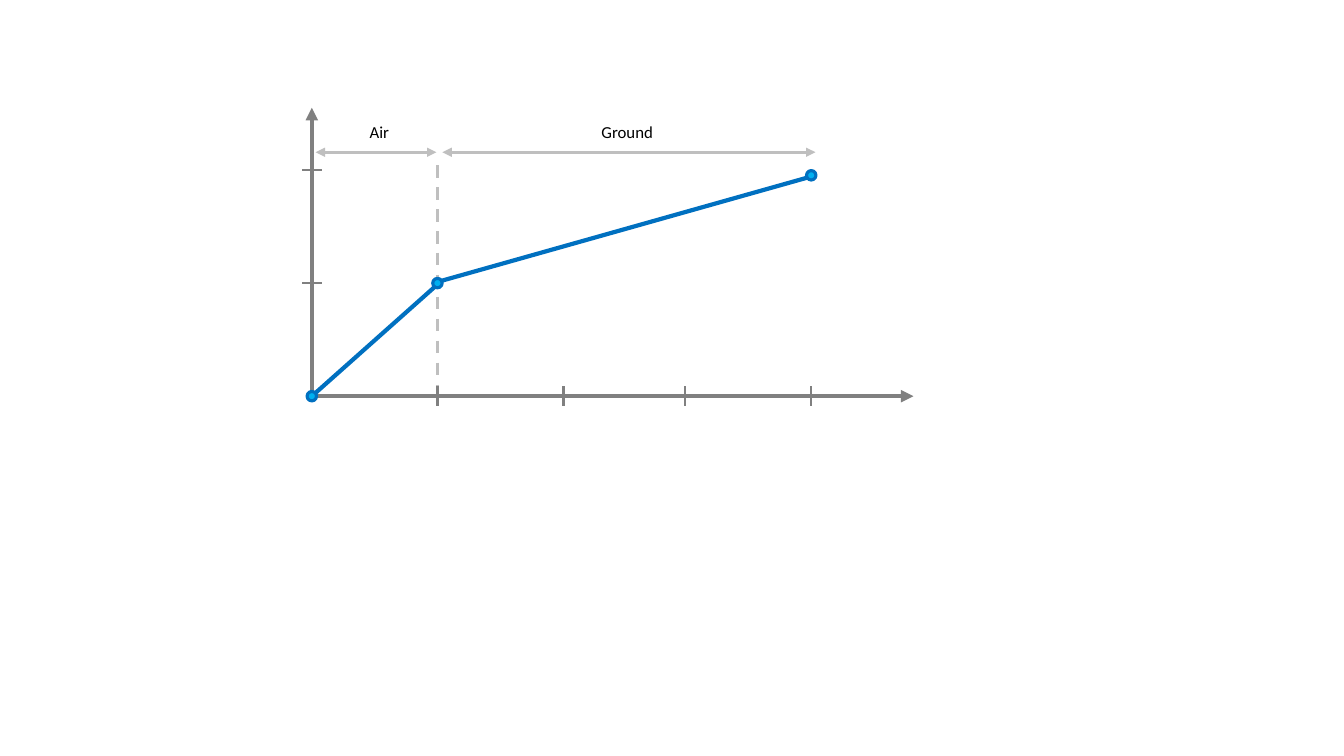
from lxml import etree
from pptx import Presentation
from pptx.dml.color import RGBColor
from pptx.enum.dml import MSO_LINE
from pptx.enum.shapes import MSO_CONNECTOR, MSO_SHAPE
from pptx.oxml.ns import qn
from pptx.util import Pt

STRAIGHT = MSO_CONNECTOR.STRAIGHT
OVAL = MSO_SHAPE.OVAL
DASH = MSO_LINE.DASH

GREY, LIGHT_GREY = "808080", "BFBFBF"
BLUE, SKY, BLACK = "0070C0", "00B0F0", "000000"


def color(hex_code):
    return RGBColor.from_string(hex_code)


class Sketch:
    """Draws on one slide; all lengths are in points."""

    font = "Calibri"
    text_size = 12
    dot_size = 6.75

    def __init__(self, slide):
        self.shapes = slide.shapes

    def line(self, start, end, hex_code, width, dash=None, arrows=()):
        connector = self.shapes.add_connector(
            STRAIGHT, *(Pt(value) for value in (*start, *end)))
        connector.line.color.rgb = color(hex_code)
        connector.line.width = Pt(width)
        if dash is not None:
            connector.line.dash_style = dash
        outline = connector.line._get_or_add_ln()
        for arrow in arrows:
            etree.SubElement(outline, qn(f"a:{arrow}"), type="triangle")
        etree.SubElement(connector._element.spPr, qn("a:effectLst"))

    def dot(self, x, y):
        size = self.dot_size
        marker = self.shapes.add_shape(
            OVAL, Pt(x - size / 2), Pt(y - size / 2), Pt(size), Pt(size))
        marker.shadow.inherit = False
        marker.fill.solid()
        marker.fill.fore_color.rgb = color(SKY)
        marker.line.color.rgb = color(BLUE)
        marker.line.width = Pt(2.25)

    def label(self, text, left, top, width):
        box = self.shapes.add_textbox(Pt(left), Pt(top), Pt(width), Pt(21.8))
        box.text_frame.word_wrap = True
        paragraph = box.text_frame.paragraphs[0]
        paragraph.text = text
        paragraph.font.name = self.font
        paragraph.font.size = Pt(self.text_size)
        paragraph.font.color.rgb = color(BLACK)


def main():
    deck = Presentation()
    deck.slide_width, deck.slide_height = Pt(960), Pt(540)
    sketch = Sketch(deck.slides.add_slide(deck.slide_layouts[6]))

    origin_x, origin_y = 222.75, 283
    x_ticks = (312.5, 402.5, 489.5, 579.5)
    y_ticks = (121.75, 202.25)
    landing_x, end_x = x_ticks[0], x_ticks[-1]
    tick = 7

    # Phase boundary and curve
    sketch.line((landing_x, 118), (landing_x, origin_y), LIGHT_GREY, 2.25, dash=DASH)
    sketch.line((315.5, 200.5), (225, 281), BLUE, 3)
    sketch.line((582.5, 125.25), (309.5, 202.25), BLUE, 3)

    # Axes
    sketch.line((origin_x, 286.5), (origin_x, 77), GREY, 3, arrows=["tailEnd"])
    sketch.line((origin_x, origin_y), (652.5, origin_y), GREY, 3, arrows=["tailEnd"])

    # Ticks
    for x in x_ticks:
        sketch.line((x, origin_y - tick), (x, origin_y + tick), GREY, 1.5)
    for y in y_ticks:
        sketch.line((origin_x - tick, y), (origin_x + tick, y), GREY, 1.5)

    # Data points
    for x, y in ((origin_x, origin_y), (landing_x, 202.25), (end_x, 125.25)):
        sketch.dot(x, y)

    # Phases: name, arrow start and end, label left and width
    phases = (("Air", 225.5, 311.75, 257, 32.4),
              ("Ground", 316, 582.5, 422.6, 53.3))
    for name, start, end, label_left, label_width in phases:
        sketch.line((start, 108.75), (end, 108.75), LIGHT_GREY, 2.25,
                    arrows=["headEnd", "tailEnd"])
        sketch.label(name, label_left, 83.5, label_width)

    deck.save("out.pptx")


if __name__ == "__main__":
    main()
